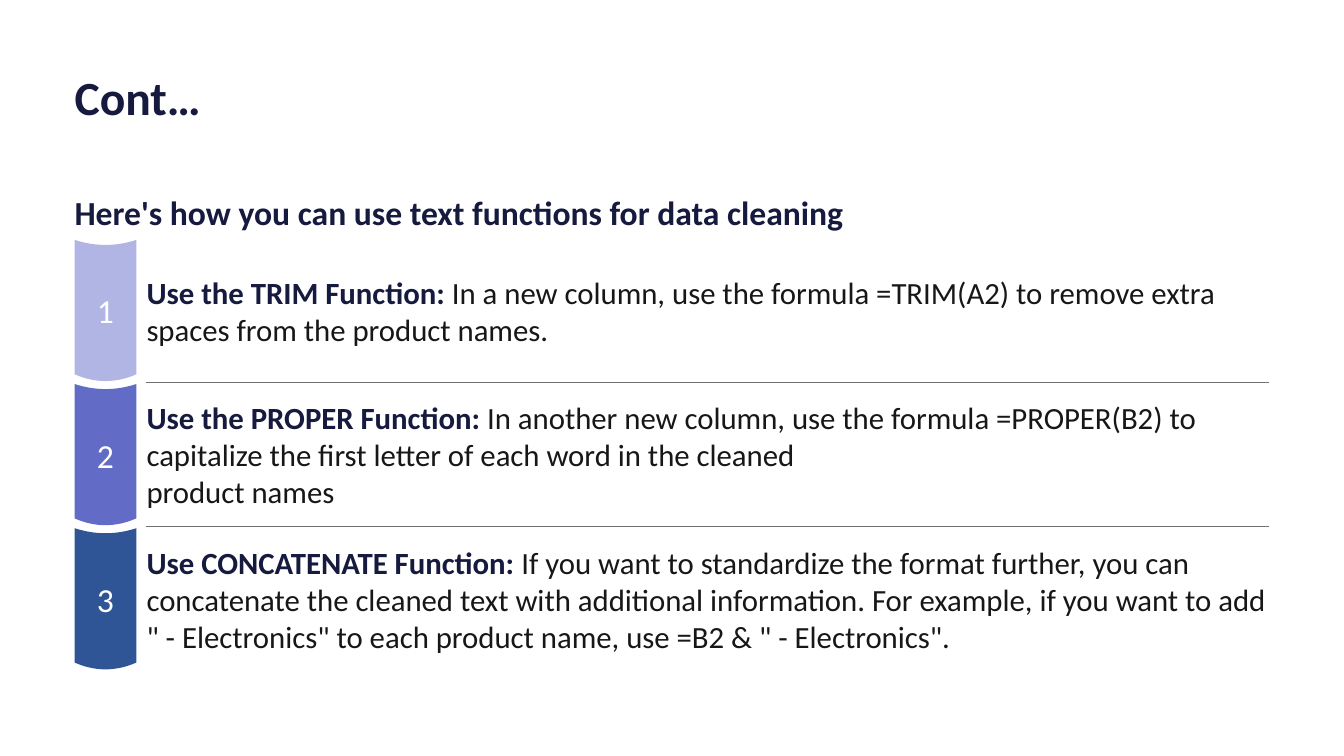
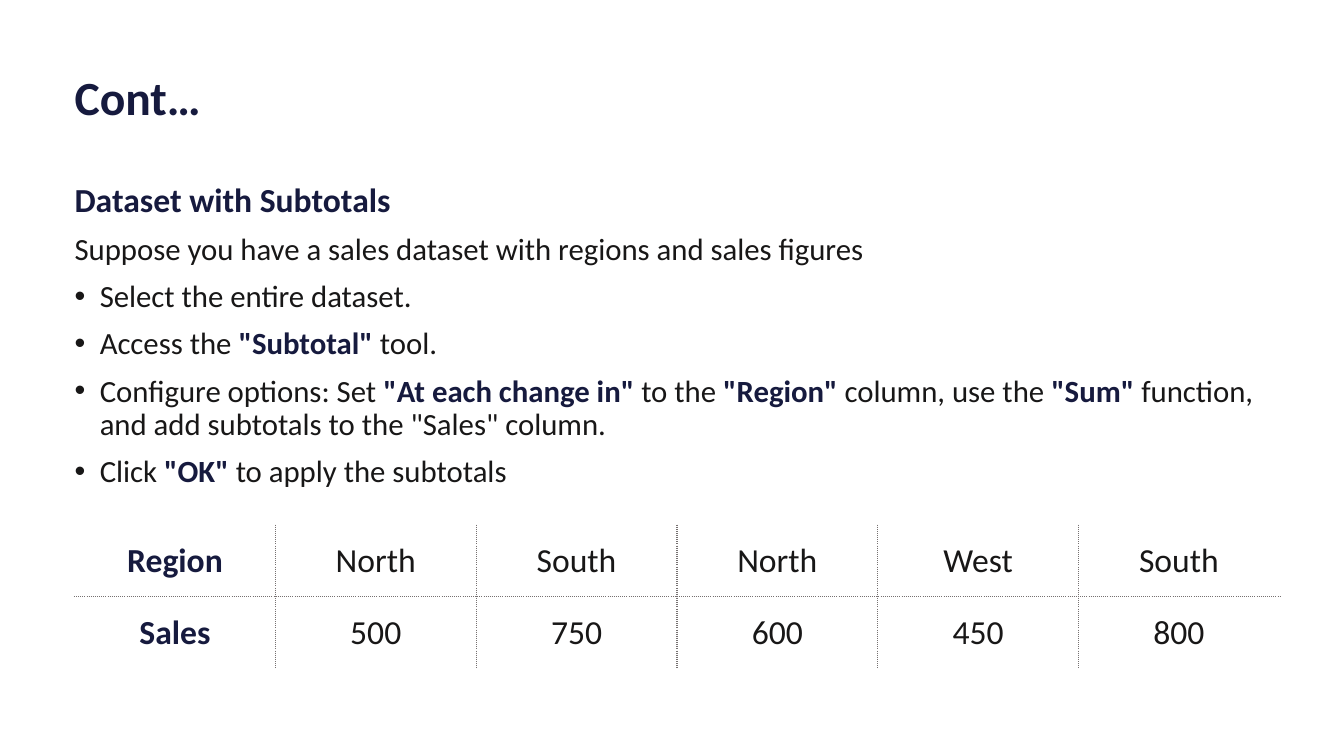
from lxml import etree
from pptx import Presentation
from pptx.dml.color import RGBColor
from pptx.enum import shapes, text
from pptx.oxml import ns
from pptx.util import Inches, Pt

WIDTH, HEIGHT = Inches(13.33), Inches(7.5)
FONT = "Calibri"
NAVY = RGBColor(0x16, 0x1A, 0x3E)
INK = RGBColor(0x18, 0x17, 0x17)
GRAY = RGBColor(0x76, 0x71, 0x71)
WHITE = RGBColor(0xFF, 0xFF, 0xFF)
LAVENDER = RGBColor(0xB0, 0xB5, 0xE3)
VIOLET = RGBColor(0x62, 0x6C, 0xC7)
BLUE = RGBColor(0x2F, 0x55, 0x97)

MARGIN = 5.55
CONTENT = 100 - 2 * MARGIN
BODY_TOP = 24.27
TAB_WIDTH, TAB_HEIGHT = 4.6, 18.67
STEP_TOP, STEP_PITCH = 31.73, 19.07
STEP_TEXT_LEFT = 10.9
CURVE_STEPS = 16

STEPS = [
    (LAVENDER, "**Use the TRIM Function: **In a new column, use the formula =TRIM(A2) "
     "to remove extra spaces from the product names."),
    (VIOLET, "**Use the PROPER Function: **In another new column, use the formula =PROPER(B2) "
     "to capitalize the first letter of each word in the cleaned\nproduct names"),
    (BLUE, "**Use CONCATENATE Function: **If you want to standardize the format further, "
     "you can concatenate the cleaned text with additional information. For example, "
     'if you want to add " - Electronics" to each product name, use =B2 & " - Electronics".'),
]
SUBTOTAL_STEPS = [
    "Select the entire dataset.",
    'Access the **"Subtotal" **tool.',
    'Configure options: Set **"At each change in" **to the **"Region" **column, '
    'use the **"Sum" **function, and add subtotals to the "Sales" column.',
    'Click **"OK" **to apply the subtotals',
]
SALES = [
    ["Region", "North", "South", "North", "West", "South"],
    ["Sales", "500", "750", "600", "450", "800"],
]


def across(share):
    return round(WIDTH * share / 100)


def down(share):
    return round(HEIGHT * share / 100)


def prepare_frame(frame, anchor):
    frame.word_wrap = True
    frame.auto_size = text.MSO_AUTO_SIZE.NONE
    frame.vertical_anchor = anchor
    frame.margin_left = frame.margin_right = frame.margin_top = frame.margin_bottom = 0


def set_font(font, size, color, bold=False):
    font.name, font.size, font.bold = FONT, Pt(size), bold
    font.color.rgb = color


def write(paragraph, content, size):
    paragraph.font.name, paragraph.font.size = FONT, Pt(size)
    for index, piece in enumerate(content.split("**")):
        strong = index % 2 == 1
        for line_index, line in enumerate(piece.split("\n")):
            if line_index:
                paragraph.add_line_break()
            if line:
                run = paragraph.add_run()
                run.text = line
                set_font(run.font, size, NAVY if strong else INK, strong)


def add_bullet(paragraph):
    properties = paragraph._p.get_or_add_pPr()
    properties.set("marL", str(Inches(0.25)))
    properties.set("indent", str(-Inches(0.25)))
    etree.SubElement(properties, ns.qn("a:buFont")).set("typeface", "Arial")
    etree.SubElement(properties, ns.qn("a:buChar")).set("char", "•")


def add_titled_slide(presentation, title):
    slide = presentation.slides.add_slide(presentation.slide_layouts[5])
    shape = slide.shapes.title
    shape.left, shape.top = across(MARGIN), down(8.8)
    shape.width, shape.height = across(CONTENT), down(8.93)
    prepare_frame(shape.text_frame, text.MSO_ANCHOR.MIDDLE)
    paragraph = shape.text_frame.paragraphs[0]
    paragraph.text = title
    paragraph.alignment = text.PP_ALIGN.LEFT
    paragraph.line_spacing = 0.9
    set_font(paragraph.font, 34, NAVY, True)
    return slide


def add_text(slide, left, top, width, height, anchor=text.MSO_ANCHOR.TOP):
    box = slide.shapes.add_textbox(across(left), down(top), across(width), down(height))
    prepare_frame(box.text_frame, anchor)
    return box.text_frame


def add_number_tab(slide, top, number, color):
    def arc(edge, depth):
        return [(across(MARGIN + TAB_WIDTH * step / CURVE_STEPS),
                 down(edge + depth * (1 - (2 * step / CURVE_STEPS - 1) ** 2)))
                for step in range(CURVE_STEPS + 1)]

    upper = arc(top, 0.67)
    lower = arc(top + TAB_HEIGHT - 0.9, 0.9)
    builder = slide.shapes.build_freeform(*upper[0])
    builder.add_line_segments(upper[1:] + lower[::-1], close=True)
    shape = builder.convert_to_shape()
    shape.shadow.inherit = False
    shape.fill.solid()
    shape.fill.fore_color.rgb = color
    shape.line.fill.background()
    prepare_frame(shape.text_frame, text.MSO_ANCHOR.MIDDLE)
    paragraph = shape.text_frame.paragraphs[0]
    paragraph.text = str(number)
    paragraph.alignment = text.PP_ALIGN.CENTER
    set_font(paragraph.font, 24, WHITE)


def add_separator(slide, top):
    line = slide.shapes.add_connector(
        shapes.MSO_CONNECTOR.STRAIGHT,
        across(STEP_TEXT_LEFT), down(top), across(100 - MARGIN), down(top))
    line.line.color.rgb = GRAY
    line.line.width = Pt(0.5)
    etree.SubElement(line._element.spPr, ns.qn("a:effectLst"))


def add_step(slide, index, color, content):
    top = STEP_TOP + index * STEP_PITCH
    add_number_tab(slide, top, index + 1, color)
    frame = add_text(slide, STEP_TEXT_LEFT, top + 0.67, 100 - MARGIN - STEP_TEXT_LEFT,
                     17.33, text.MSO_ANCHOR.MIDDLE)
    write(frame.paragraphs[0], content, 22)
    if index:
        add_separator(slide, top - 0.2)


def set_borders(cell, dotted):
    properties = cell._tc.get_or_add_tcPr()
    for position, side in enumerate("LRTB"):
        line = etree.Element(ns.qn(f"a:ln{side}"), w=str(Pt(1)))
        fill = etree.SubElement(line, ns.qn("a:solidFill"))
        color = GRAY if dotted[side] else WHITE
        etree.SubElement(fill, ns.qn("a:srgbClr")).set("val", str(color))
        dash = "sysDot" if dotted[side] else "solid"
        etree.SubElement(line, ns.qn("a:prstDash")).set("val", dash)
        properties.insert(position, line)


def add_table(slide, rows, left, top, width, height):
    last_row, last_column = len(rows) - 1, len(rows[0]) - 1
    table = slide.shapes.add_table(len(rows), len(rows[0]), across(left), down(top),
                                   across(width), down(height)).table
    table.first_row = table.horz_banding = False
    for row, values in enumerate(rows):
        for column, value in enumerate(values):
            cell = table.cell(row, column)
            cell.fill.background()
            cell.vertical_anchor = text.MSO_ANCHOR.MIDDLE
            cell.margin_left = cell.margin_right = cell.margin_top = Inches(0.01)
            cell.margin_bottom = 0
            paragraph = cell.text_frame.paragraphs[0]
            paragraph.alignment = text.PP_ALIGN.CENTER
            write(paragraph, value if column else f"**{value}**", 24)
            set_borders(cell, {"L": column > 0, "R": column < last_column,
                               "T": row > 0, "B": row < last_row})


def build_cleaning_slide(presentation):
    slide = add_titled_slide(presentation, "Cont…")
    heading = add_text(slide, MARGIN, BODY_TOP, CONTENT, 7.2).paragraphs[0]
    heading.line_spacing = 1.2
    write(heading, "**Here's how you can use text functions for data cleaning**", 24)
    for index, (color, content) in enumerate(STEPS):
        add_step(slide, index, color, content)


def build_subtotal_slide(presentation):
    slide = add_titled_slide(presentation, "Cont…")
    frame = add_text(slide, MARGIN, BODY_TOP, CONTENT, 43)
    heading = frame.paragraphs[0]
    heading.line_spacing = 0.9
    write(heading, "**Dataset with Subtotals**", 24)
    intro = "Suppose you have a sales dataset with regions and sales figures"
    for index, content in enumerate([intro] + SUBTOTAL_STEPS):
        paragraph = frame.add_paragraph()
        paragraph.line_spacing = 0.9
        paragraph.space_before = Pt(10)
        if index:
            add_bullet(paragraph)
        write(paragraph, content, 22)
    add_table(slide, SALES, MARGIN, 69.47, 89.65, 18.93)


def main():
    presentation = Presentation()
    presentation.slide_width, presentation.slide_height = WIDTH, HEIGHT
    build_cleaning_slide(presentation)
    build_subtotal_slide(presentation)
    presentation.save("out.pptx")


if __name__ == "__main__":
    main()
